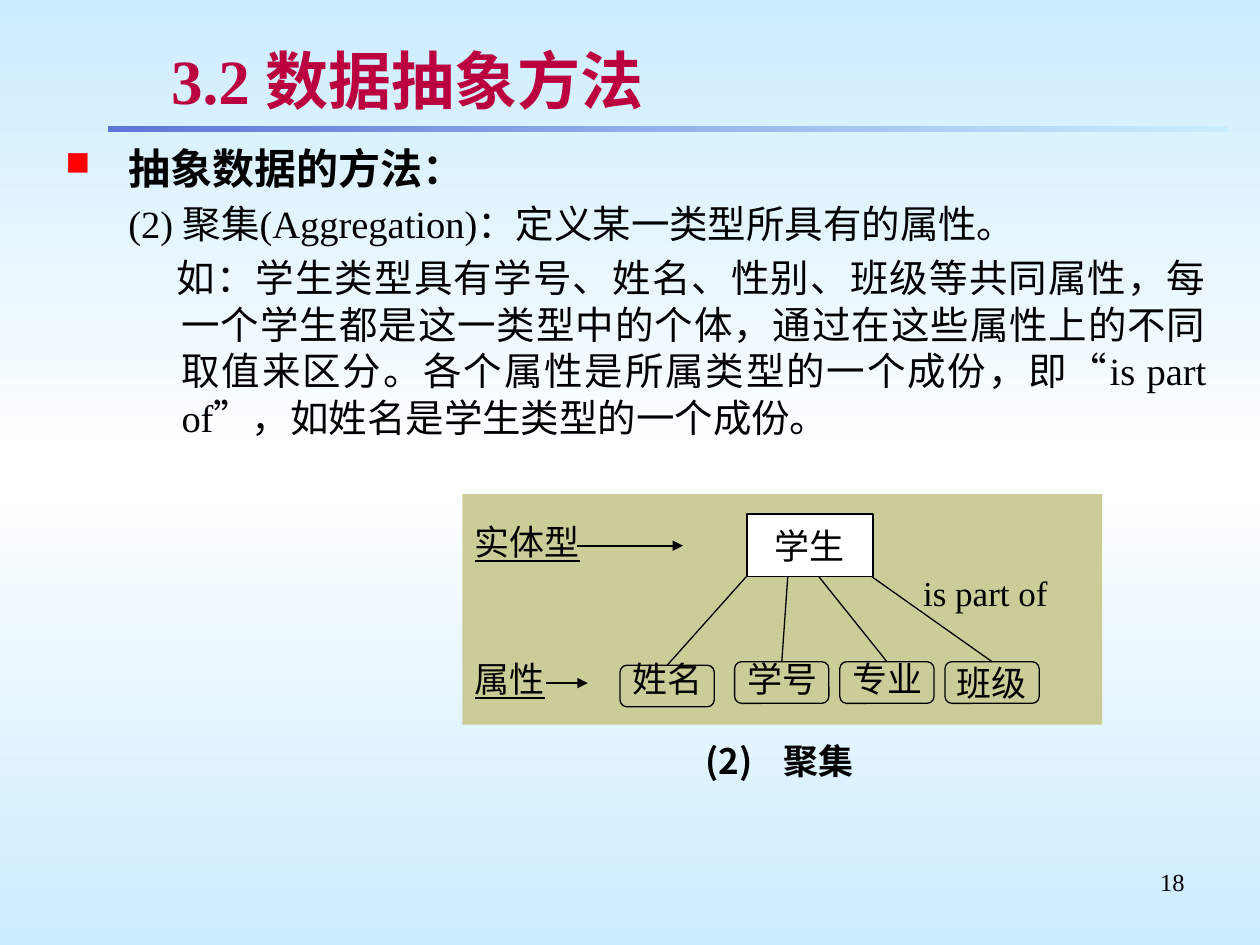
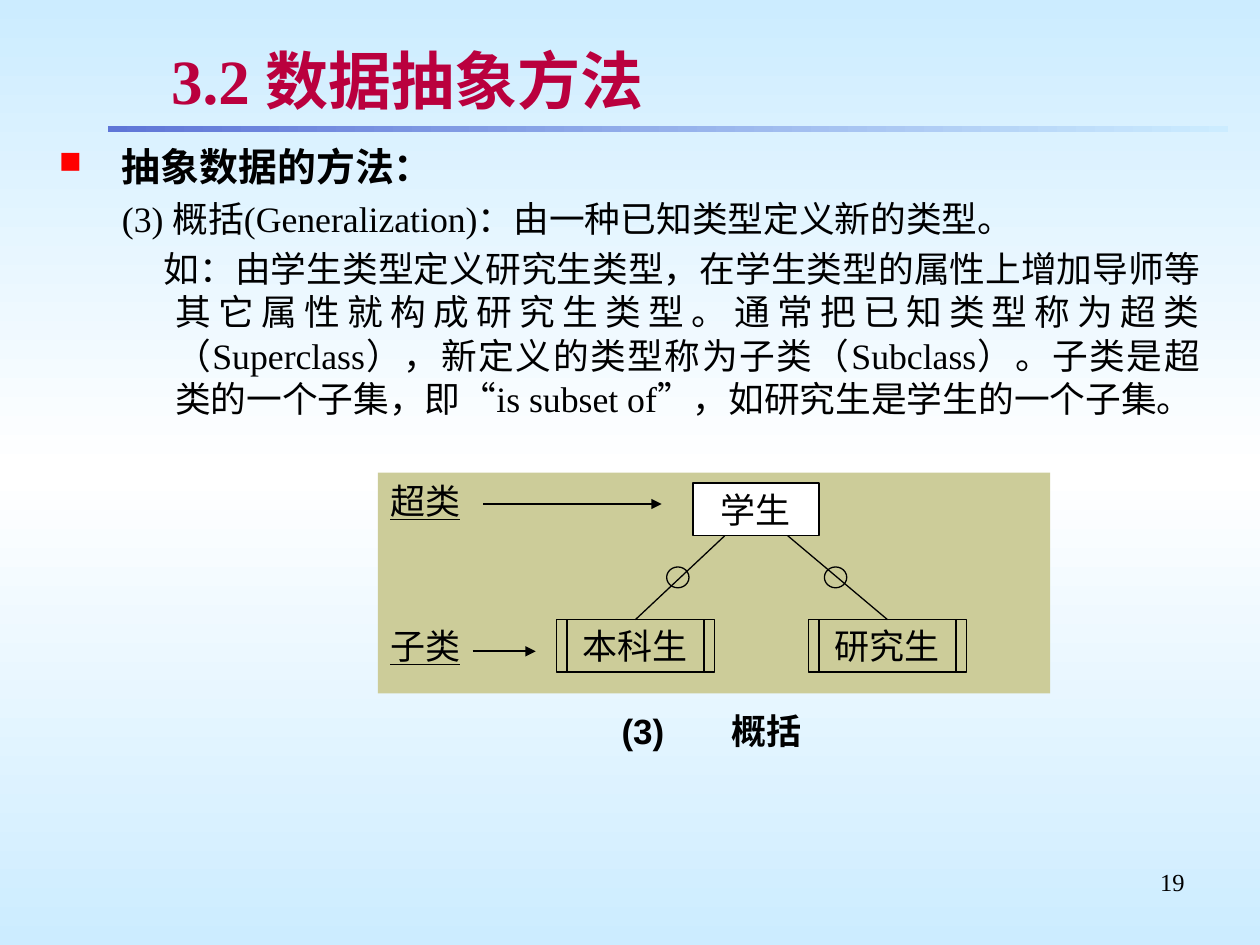
import pptx
import pptx.dml.color
import pptx.enum.shapes
import pptx.enum.text
import pptx.oxml
import pptx.oxml.ns
import pptx.util
from lxml import etree

Cm, Pt, qn = pptx.util.Cm, pptx.util.Pt, pptx.oxml.ns.qn
SHAPE = pptx.enum.shapes.MSO_SHAPE
ALIGN = pptx.enum.text.PP_ALIGN
ANCHOR = pptx.enum.text.MSO_ANCHOR

# ---- Content (lengths in cm, text sizes in points) ----
COLORS = {"sky": "CCECFF", "white": "FFFFFF", "band": "5F76D7", "title": "BA003E",
          "bullet": "FF0000", "panel": "CCCC99", "ink": "000000", "shade": "C0C0C0"}
SERIF, SANS, CJK = "Times New Roman", "Arial", "Noto Sans CJK SC"
TITLE = "3.2 数据抽象方法"
HEADING = "抽象数据的方法："
LABEL_SIZE, LABEL_HEIGHT = 20, 1.12
LINE_FACTOR = 1.21

AGGREGATION = {
    "number": "18",
    "body": (1.07, 2.74, 23.5, 7.41),
    "sizes": (24, 22),
    "definition": "(2) 聚集(Aggregation)：定义某一类型所具有的属性。",
    "example": "如：学生类型具有学号、姓名、性别、班级等共同属性，每一个学生都是这一类型中的个体，"
               "通过在这些属性上的不同取值来区分。各个属性是所属类型的一个成份，即“is part of”，"
               "如姓名是学生类型的一个成份。",
    "example_indent": -0.1,
    "panel": (9.32, 9.96, 12.9, 4.65),
    "entity": ("学生", (15.06, 10.36, 2.54, 1.27)),
    "side_labels": [("实体型", 9.32, 10.36, SERIF), ("属性", 9.32, 13.13, SANS)],
    "arrows": [(11.63, 13.77, 11.0), (11.0, 11.85, 13.77)],
    "caption": ("(2)\t聚集", 13.97, 14.78, CJK, 1.58),
}
# name, left, top, start of its line on the entity, text drawn inside the outline
ATTRIBUTES = [("姓名", 12.5, 13.41, 15.04, False), ("学号", 14.81, 13.34, 15.88, False),
              ("专业", 16.93, 13.34, 16.51, False), ("班级", 19.05, 13.34, 17.58, True)]
ATTRIBUTE_SIZE = (1.9, 0.84)
RELATION = ("is part of", 18.36, 11.38)

GENERALIZATION = {
    "number": "19",
    "body": (0.94, 2.74, 23.5, 6.78),
    "sizes": (22.2, 20.4),
    "definition": "(3) 概括(Generalization)：由一种已知类型定义新的类型。",
    "example": "如：由学生类型定义研究生类型，在学生类型的属性上增加导师等其它属性就构成研究生类型。"
               "通常把已知类型称为超类（Superclass），新定义的类型称为子类（Subclass）。"
               "子类是超类的一个子集，即“is subset of”，如研究生是学生的一个子集。",
    "example_indent": -0.23,
    "panel": (7.62, 9.53, 13.55, 4.45),
    "entity": ("学生", (13.97, 9.74, 2.54, 1.06)),
    "side_labels": [("超类", 7.62, 9.53, SANS), ("子类", 7.62, 12.45, SANS)],
    "arrows": [(9.74, 13.34, 10.16), (9.53, 10.8, 13.13)],
    "caption": ("(3)\t概括", 12.28, 14.18, SANS, 2.21),
}
# name, left, start of its line on the entity, left of the subset ring
SUBCLASSES = [("本科生", 11.22, 14.61, 13.44), ("研究生", 16.3, 15.88, 16.62)]
SUBCLASS_TOP, SUBCLASS_SIZE, BAR_INSET = 12.49, (3.18, 1.06), 0.21
RING_TOP, RING_SIZE = 11.43, (0.45, 0.42)


# ---- Helpers ----
def rgb(name):
    return pptx.dml.color.RGBColor.from_string(COLORS[name])


def paint_gradient(fill, owner, stops, angle):
    fill.gradient()
    gradient = owner.find(".//" + qn("a:gradFill"))
    stop_list = gradient.find(qn("a:gsLst"))
    for old in list(stop_list):
        stop_list.remove(old)
    for position, color in stops:
        stop = etree.SubElement(stop_list, qn("a:gs"), pos=str(position * 1000))
        etree.SubElement(stop, qn("a:srgbClr"), val=COLORS[color])
    gradient.find(qn("a:lin")).set("ang", str(angle * 60000))


def add_run(paragraph, text, size, font=SERIF, color="ink", bold=False, underline=False):
    run = paragraph.add_run()
    run.text = text
    run.font.size, run.font.name = Pt(size), font
    run.font.bold, run.font.underline = bold, underline
    run.font.color.rgb = rgb(color)
    run.font.fill.solid()
    run.font.fill.fore_color.rgb = rgb(color)
    latin = run.font._element.find(qn("a:latin"))
    east_asian = etree.Element(qn("a:ea"), typeface=CJK)
    latin.addnext(east_asian)
    return run


def add_text_box(slide, box, wrap=True, anchor=ANCHOR.TOP):
    frame = slide.shapes.add_textbox(*map(Cm, box)).text_frame
    frame.word_wrap, frame.vertical_anchor = wrap, anchor
    return frame


def add_label(slide, text, left, top, width, font=SANS, wrap=True, **style):
    paragraph = add_text_box(slide, (left, top, width, LABEL_HEIGHT), wrap).paragraphs[0]
    paragraph.line_spacing = Pt(LABEL_SIZE * LINE_FACTOR)
    add_run(paragraph, text, LABEL_SIZE, font, **style)
    return paragraph


def add_block(slide, kind, box, fill=None, outlined=True, text=None):
    block = slide.shapes.add_shape(kind, *map(Cm, box))
    block.shadow.inherit = False
    if fill:
        block.fill.solid()
        block.fill.fore_color.rgb = rgb(fill)
    else:
        block.fill.background()
    if outlined:
        block.line.color.rgb, block.line.width = rgb("ink"), Pt(0.75)
    else:
        block.line.fill.background()
    if text:
        frame = block.text_frame
        frame.word_wrap, frame.vertical_anchor = False, ANCHOR.MIDDLE
        frame.paragraphs[0].alignment = ALIGN.CENTER
        add_run(frame.paragraphs[0], text, LABEL_SIZE, SANS)
    return block


def add_line(slide, start, end, width=0.75, arrow=False, target=None):
    line = slide.shapes.add_connector(pptx.enum.shapes.MSO_CONNECTOR.STRAIGHT,
                                      *map(Cm, start + end))
    line.line.color.rgb, line.line.width = rgb("ink"), Pt(width)
    if arrow:
        etree.SubElement(line.line._get_or_add_ln(), qn("a:tailEnd"), type="triangle")
    etree.SubElement(line._element.spPr, qn("a:effectLst"))
    if target is not None:
        line.end_connect(target, 0)


# ---- Parts that both slides share ----
def add_frame(slide, number):
    paint_gradient(slide.background.fill, slide.element,
                   [(0, "sky"), (50, "white"), (100, "sky")], 90)
    band = add_block(slide, SHAPE.RECTANGLE, (2.18, 2.54, 22.58, 0.13), outlined=False)
    paint_gradient(band.fill, band.element, [(0, "band"), (100, "sky")], 0)

    page = add_text_box(slide, (18.21, 17.35, 5.92, 1.32)).paragraphs[0]
    page.alignment = ALIGN.RIGHT
    add_run(page, number, 14)

    heading = add_text_box(slide, (3.2, 0.74, 20.93, 1.7), anchor=ANCHOR.MIDDLE)
    title = add_run(heading.paragraphs[0], TITLE, 36, color="title", bold=True)
    effects = etree.Element(qn("a:effectLst"))
    shadow = etree.SubElement(effects, qn("a:outerShdw"), dist="35921", dir="2700000")
    etree.SubElement(shadow, qn("a:srgbClr"), val=COLORS["shade"])
    title.font._element.find(qn("a:solidFill")).addnext(effects)


def add_body(slide, topic):
    frame = add_text_box(slide, topic["body"])
    heading_size, text_size = topic["sizes"]
    # text, size, left margin, first-line indent, space before
    rows = [(HEADING, heading_size, 1.27, -1.27, 4.5),
            (topic["definition"], text_size, 2.34, -1.07, 4.1),
            (topic["example"], text_size, 2.34, topic["example_indent"], 4.1)]
    for index, (text, size, margin, indent, before) in enumerate(rows):
        paragraph = frame.add_paragraph() if index else frame.paragraphs[0]
        paragraph.alignment = ALIGN.JUSTIFY
        paragraph.space_before = Pt(before)
        paragraph.line_spacing = Pt(size * LINE_FACTOR)
        add_run(paragraph, text, size, bold=index == 0)
        props = paragraph._p.get_or_add_pPr()
        props.set("marL", str(Cm(margin)))
        props.set("indent", str(Cm(indent)))
        if index == 0:
            color = etree.SubElement(props, qn("a:buClr"))
            etree.SubElement(color, qn("a:srgbClr"), val=COLORS["bullet"])
            etree.SubElement(props, qn("a:buSzPct"), val="80000")
            etree.SubElement(props, qn("a:buChar"), char="■")


def add_diagram_base(slide, topic):
    add_block(slide, SHAPE.RECTANGLE, topic["panel"], "panel", outlined=False)
    name, box = topic["entity"]
    add_block(slide, SHAPE.RECTANGLE, box, "white", text=name)
    for text, left, top, font in topic["side_labels"]:
        add_label(slide, text, left, top, 3.18, font, underline=True)
    for start, end, y in topic["arrows"]:
        add_line(slide, (start, y), (end, y), width=1, arrow=True)
    text, left, top, font, tab = topic["caption"]
    caption = add_label(slide, text, left, top, 5.3, font, bold=True)
    tabs = etree.SubElement(caption._p.get_or_add_pPr(), qn("a:tabLst"))
    etree.SubElement(tabs, qn("a:tab"), pos=str(Cm(tab)), algn="l")
    return box[1] + box[3]


# ---- Diagrams ----
def add_attributes(slide, entity_bottom):
    width, height = ATTRIBUTE_SIZE
    for name, left, top, start, inside in ATTRIBUTES:
        outline = add_block(slide, SHAPE.ROUNDED_RECTANGLE, (left, top, width, height),
                            text=name if inside else None)
        if not inside:
            add_label(slide, name, left, 13.13, 2.74)
        add_line(slide, (start, entity_bottom), (left + width / 2, top), target=outline)
    text, left, top = RELATION
    add_label(slide, text, left, top, 3.02, SERIF, wrap=False)


def add_subclasses(slide, entity_bottom):
    width, height = SUBCLASS_SIZE
    for name, left, start, ring_left in SUBCLASSES:
        subclass = add_block(slide, SHAPE.RECTANGLE, (left, SUBCLASS_TOP, width, height),
                             text=name)
        for x in (left + BAR_INSET, left + width - BAR_INSET):
            add_line(slide, (x, SUBCLASS_TOP), (x, SUBCLASS_TOP + height))
        add_line(slide, (start, entity_bottom), (left + width / 2, SUBCLASS_TOP),
                 target=subclass)
        add_block(slide, SHAPE.OVAL, (ring_left, RING_TOP) + RING_SIZE)


def main():
    deck = pptx.Presentation()
    deck.slide_width, deck.slide_height = Cm(25.4), Cm(19.05)
    for topic, add_members in ((AGGREGATION, add_attributes),
                               (GENERALIZATION, add_subclasses)):
        slide = deck.slides.add_slide(deck.slide_layouts[6])
        add_frame(slide, topic["number"])
        add_body(slide, topic)
        add_members(slide, add_diagram_base(slide, topic))
    deck.save("out.pptx")


if __name__ == "__main__":
    main()
